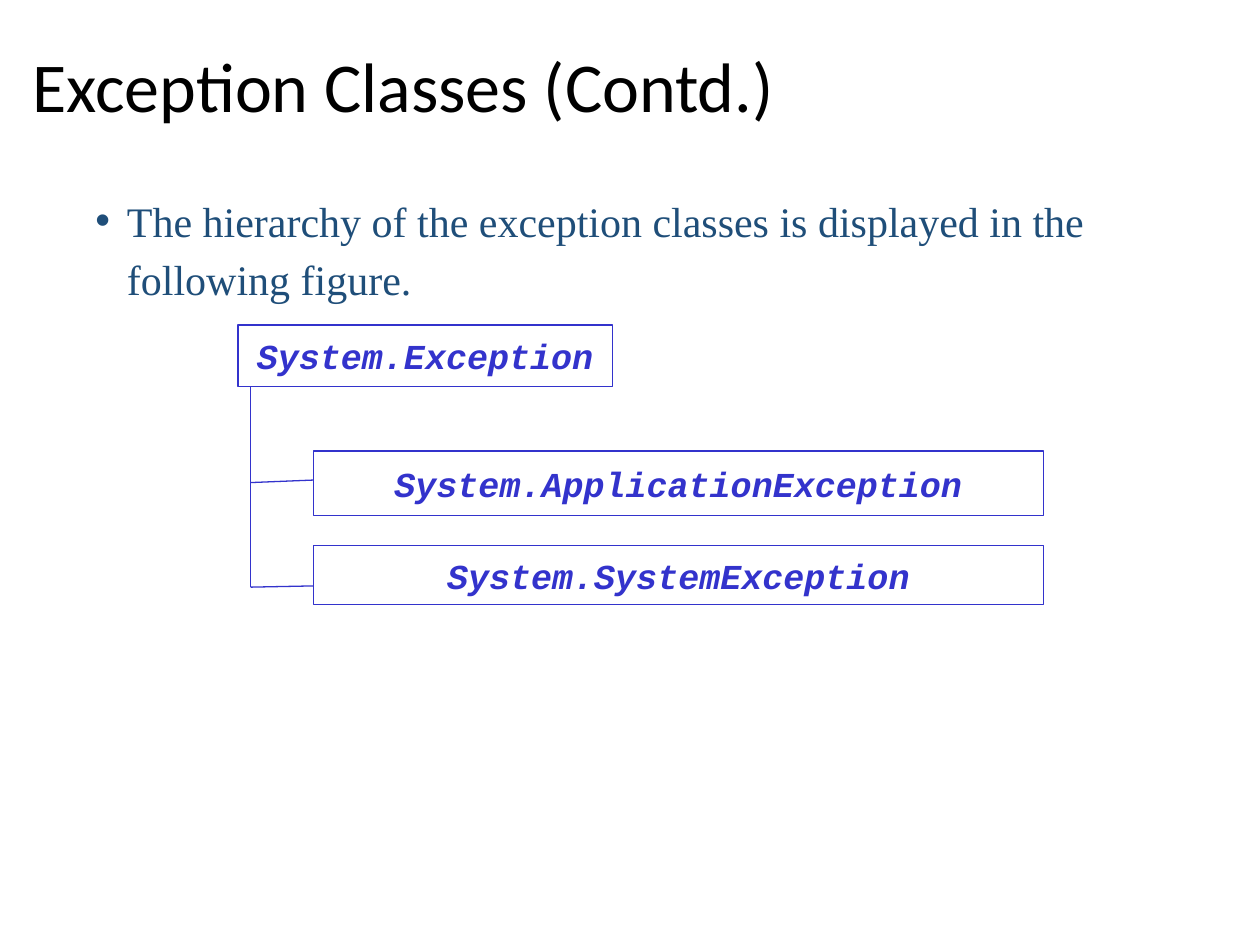
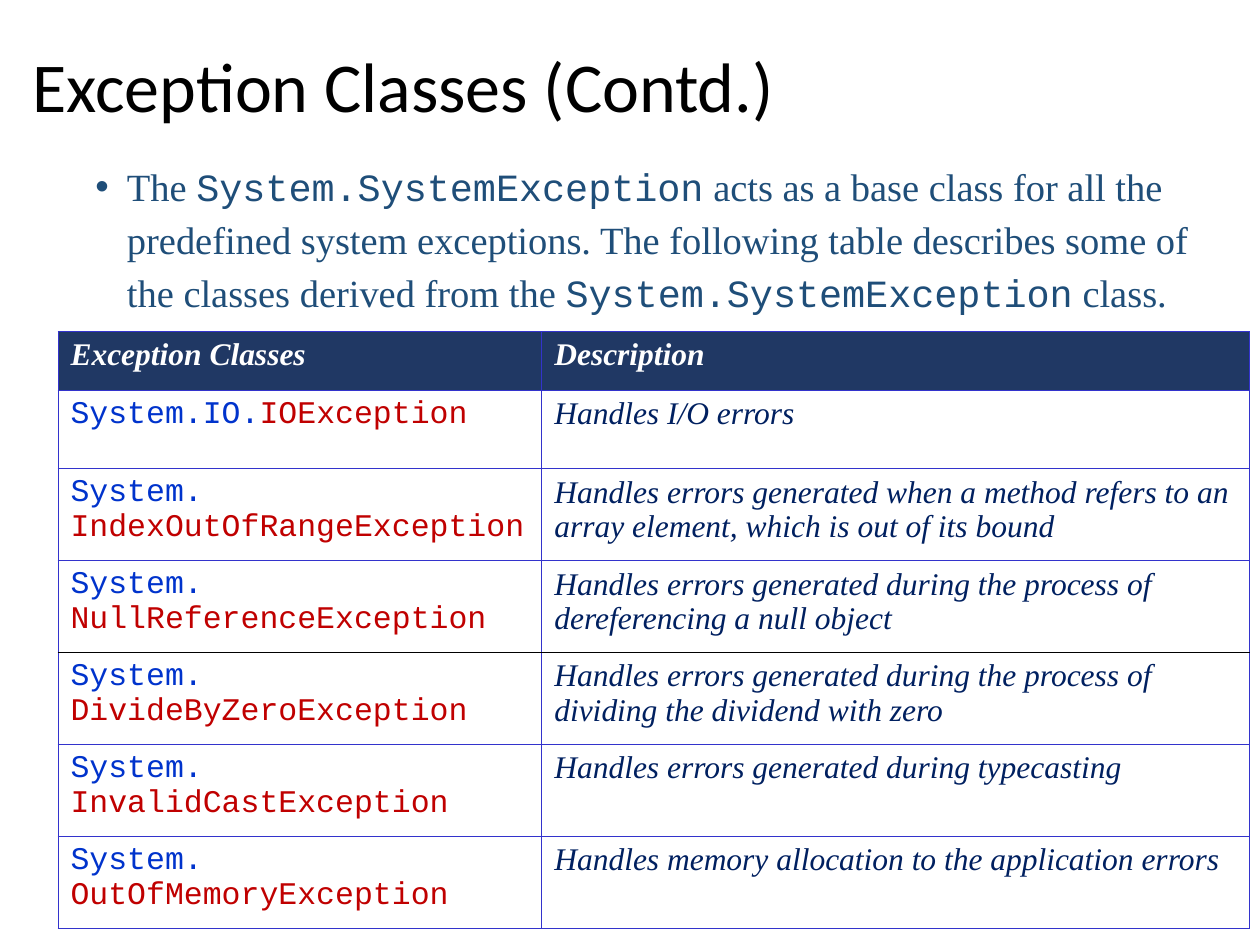
from lxml import etree
from pptx import Presentation
from pptx.dml.color import RGBColor
from pptx.enum.shapes import MSO_CONNECTOR, MSO_SHAPE
from pptx.enum.text import MSO_ANCHOR, PP_ALIGN
from pptx.oxml.ns import qn
from pptx.util import Inches, Pt

RECTANGLE, STRAIGHT = MSO_SHAPE.RECTANGLE, MSO_CONNECTOR.STRAIGHT
MIDDLE, TOP = MSO_ANCHOR.MIDDLE, MSO_ANCHOR.TOP
CENTER = PP_ALIGN.CENTER

BLACK = RGBColor(0x00, 0x00, 0x00)
WHITE = RGBColor(0xFF, 0xFF, 0xFF)
STEEL = RGBColor(0x1F, 0x4E, 0x79)
OUTLINE = RGBColor(0x33, 0x33, 0xCC)
HEADER_FILL = RGBColor(0x20, 0x38, 0x64)
NAMESPACE_BLUE = RGBColor(0x00, 0x33, 0xCC)
CLASS_RED = RGBColor(0xC0, 0x00, 0x00)
NAVY = RGBColor(0x00, 0x20, 0x60)

SERIF, MONO = "Times New Roman", "Courier New"
TITLE_STYLE = {"name": "Calibri", "size": Pt(40), "color": BLACK}
NODE_STYLE = {"name": MONO, "size": Pt(20), "color": OUTLINE,
              "bold": True, "italic": True}
HEADER_STYLE = {"name": SERIF, "size": Pt(18), "color": WHITE,
                "bold": True, "italic": True}
NAMESPACE_STYLE = {"name": MONO, "size": Pt(18), "color": NAMESPACE_BLUE}
CLASS_STYLE = {"name": MONO, "size": Pt(18), "color": CLASS_RED}
DESCRIPTION_STYLE = {"name": SERIF, "size": Pt(18), "color": NAVY,
                     "italic": True}

LEFT, WIDTH = 0.16, 9.74
TITLE = "Exception Classes (Contd.)"

# Spans are (text, font name)
HIERARCHY_INTRO = [("The hierarchy of the exception classes is displayed "
                    "in the following figure.", SERIF)]
TABLE_INTRO = [
    ("The ", SERIF),
    ("System.SystemException", MONO),
    (" acts as a base class for all the predefined system exceptions. The "
     "following table describes some of the classes derived from the ", SERIF),
    ("System.SystemException", MONO),
    (" class.", SERIF),
]

# Text, left, top, width, height, fill
ROOT = ("System.Exception", 1.89, 2.58, 2.97, 0.49, WHITE)
CHILDREN = [
    ("System.ApplicationException", 2.49, 3.58, 5.79, 0.51, None),
    ("System.SystemException", 2.49, 4.33, 5.79, 0.47, None),
]
TRUNK_X = 1.99
# Height on the trunk, height at the child
BRANCHES = [(3.83, 3.81), (4.66, 4.65)]

HEADINGS = ["Exception Classes", "Description"]
# Namespace, class, whether both share a line, description lines
EXCEPTIONS = [
    ("System.IO.", "IOException", True, ["Handles I/O errors"]),
    ("System.", "IndexOutOfRangeException", False,
     ["Handles errors generated when a method refers to an array element, "
      "which is out of its bound"]),
    ("System.", "NullReferenceException", False,
     ["Handles errors generated during the process of ",
      "dereferencing a null object"]),
    ("System.", "DivideByZeroException", False,
     ["Handles errors generated during the process of dividing the dividend "
      "with zero"]),
    ("System.", "InvalidCastException", False,
     ["Handles errors generated during typecasting"]),
    ("System.", "OutOfMemoryException", False,
     ["Handles memory allocation to the application errors"]),
]
COLUMN_WIDTHS = [3.84, 5.62]
ROW_HEIGHTS = [0.47, 0.62] + [0.73] * 5
BLACK_RULE_BELOW = 3


def add_span(para, text, style):
    """Add a run and apply a dict of font values."""
    span = para.add_run()
    span.text = text
    for key, value in style.items():
        if key == "color":
            span.font.color.rgb = value
        else:
            setattr(span.font, key, value)


def fill_frame(frame, lines, align=None):
    """Write lines, each a list of (text, style), as paragraphs."""
    for index, line in enumerate(lines):
        para = frame.add_paragraph() if index else frame.paragraphs[0]
        para.alignment = align
        for text, style in line:
            add_span(para, text, style)


def add_text(page, top, height, anchor, line, spacing):
    """Add a full-width text box with one paragraph and return that."""
    box = page.shapes.add_textbox(*map(Inches, (LEFT, top, WIDTH, height)))
    frame = box.text_frame
    frame.word_wrap = True
    frame.vertical_anchor = anchor
    fill_frame(frame, [line])
    para = frame.paragraphs[0]
    para.line_spacing = spacing
    return para


def add_page(deck, intro, top, size):
    """Add a slide with the shared title and a bulleted introduction."""
    page = deck.slides.add_slide(deck.slide_layouts[6])
    add_text(page, 0.11, 1.2, MIDDLE, [(TITLE, TITLE_STYLE)], 0.9)
    line = [(text, {"name": name, "size": Pt(size), "color": STEEL})
            for text, name in intro]
    para = add_text(page, top, 7.35 - top, TOP, line, 1.15)
    para.space_before = Pt(5)
    props = para._p.get_or_add_pPr()
    props.set("marL", str(Inches(0.75)))
    props.set("indent", str(Inches(-0.25)))
    color = etree.SubElement(props, qn("a:buClr"))
    etree.SubElement(color, qn("a:srgbClr"), val=str(STEEL))
    etree.SubElement(props, qn("a:buFont"), typeface="Arial")
    etree.SubElement(props, qn("a:buChar"), char="•")
    return page


def add_line(page, *ends):
    """Add a straight line from x1, y1 to x2, y2."""
    line = page.shapes.add_connector(STRAIGHT, *map(Inches, ends))
    line.line.color.rgb = OUTLINE
    line.line.width = Pt(0.74)
    etree.SubElement(line._element.spPr, qn("a:effectLst"))


def add_node(page, text, left, top, width, height, fill):
    """Add one outlined class box of the hierarchy."""
    node = page.shapes.add_shape(
        RECTANGLE, *map(Inches, (left, top, width, height)))
    node.shadow.inherit = False
    if fill is None:
        node.fill.background()
    else:
        node.fill.solid()
        node.fill.fore_color.rgb = fill
    node.line.color.rgb = OUTLINE
    node.line.width = Pt(0.74)
    node.text_frame.word_wrap = True
    node.text_frame.vertical_anchor = MIDDLE
    fill_frame(node.text_frame, [[(text, NODE_STYLE)]], CENTER)


def add_hierarchy(page):
    """Draw the class tree: trunk, boxes and branches."""
    add_line(page, TRUNK_X, ROOT[2] + 0.41, TRUNK_X, BRANCHES[-1][0])
    for node in [ROOT] + CHILDREN:
        add_node(page, *node)
    for child, (start, end) in zip(CHILDREN, BRANCHES):
        add_line(page, TRUNK_X, start, child[1], end)


def set_borders(cell, top, bottom):
    """Rule all four sides of a cell."""
    props = cell._tc.get_or_add_tcPr()
    sides = {"L": OUTLINE, "R": OUTLINE, "T": top, "B": bottom}
    for side, color in sides.items():
        rule = etree.SubElement(props, qn("a:ln" + side), w=str(Pt(0.45)))
        solid = etree.SubElement(rule, qn("a:solidFill"))
        etree.SubElement(solid, qn("a:srgbClr"), val=str(color))


def table_rows():
    """Turn headings and exceptions into rows of cells of styled lines."""
    rows = [[[[(heading, HEADER_STYLE)]] for heading in HEADINGS]]
    for namespace, name, shared, description in EXCEPTIONS:
        spans = [(namespace, NAMESPACE_STYLE), (name, CLASS_STYLE)]
        class_lines = [spans] if shared else [[span] for span in spans]
        rows.append([class_lines, [[(text, DESCRIPTION_STYLE)]
                                   for text in description]])
    return rows


def add_exception_table(page):
    """Add the table of exception classes."""
    rows = table_rows()
    table = page.shapes.add_table(
        len(rows), len(HEADINGS), Inches(0.46), Inches(2.63),
        Inches(sum(COLUMN_WIDTHS)), Inches(sum(ROW_HEIGHTS))).table
    table.first_row = table.horz_banding = False
    for column, width in zip(table.columns, COLUMN_WIDTHS):
        column.width = Inches(width)
    for index, (row, cells) in enumerate(zip(table.rows, rows)):
        row.height = Inches(ROW_HEIGHTS[index])
        top = BLACK if index == BLACK_RULE_BELOW + 1 else OUTLINE
        bottom = BLACK if index == BLACK_RULE_BELOW else OUTLINE
        for cell, lines in zip(row.cells, cells):
            set_borders(cell, top, bottom)
            if index == 0:
                cell.fill.solid()
                cell.fill.fore_color.rgb = HEADER_FILL
            else:
                cell.fill.background()
            fill_frame(cell.text_frame, lines)


deck = Presentation()
deck.slide_width, deck.slide_height = Inches(10), Inches(7.5)
add_hierarchy(add_page(deck, HIERARCHY_INTRO, 1.44, 24))
add_exception_table(add_page(deck, TABLE_INTRO, 1.19, 22))
deck.save("out.pptx")
